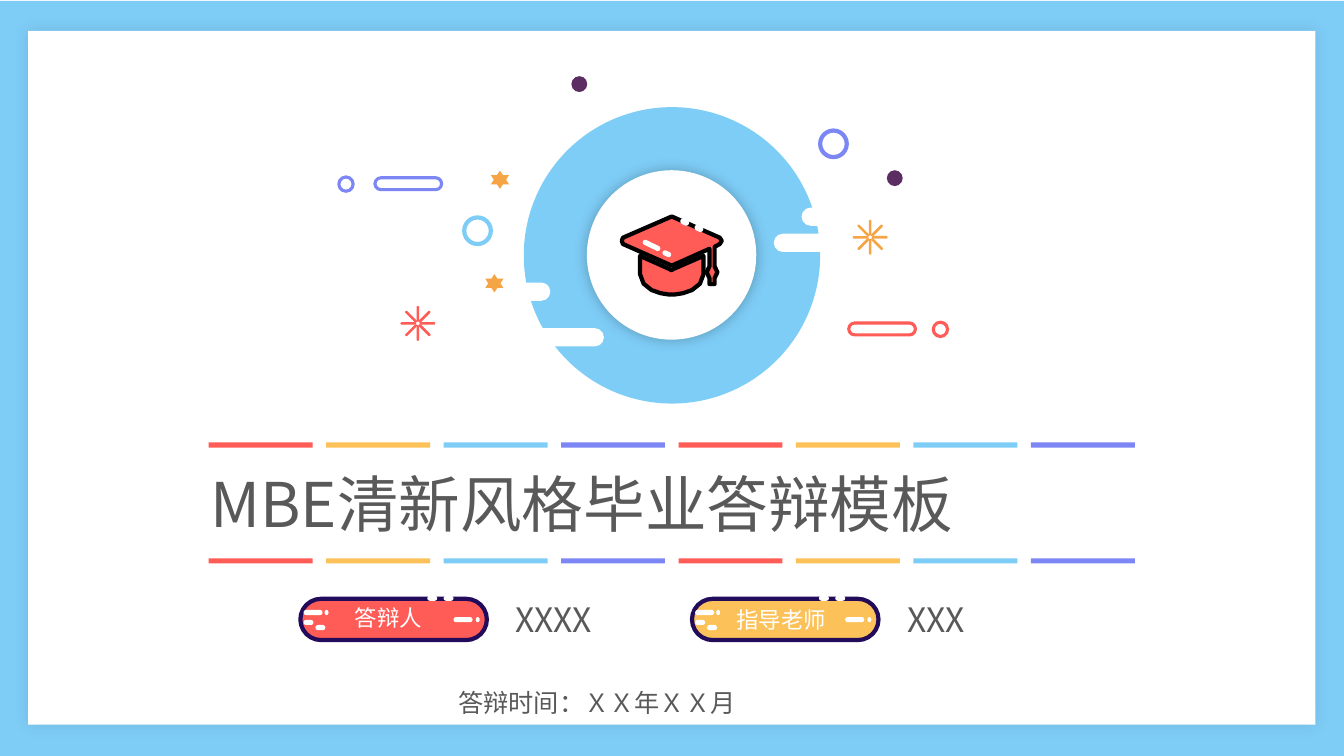
import math

from lxml import etree
from pptx import Presentation
from pptx.dml.color import RGBColor
from pptx.enum.shapes import MSO_SHAPE
from pptx.enum.text import MSO_AUTO_SIZE, PP_ALIGN
from pptx.oxml.ns import qn
from pptx.util import Cm, Pt

RECTANGLE = MSO_SHAPE.RECTANGLE
ELLIPSE = MSO_SHAPE.OVAL
PILL = MSO_SHAPE.ROUNDED_RECTANGLE
STAR = MSO_SHAPE.STAR_6_POINT
LEFT, JUSTIFY = PP_ALIGN.LEFT, PP_ALIGN.JUSTIFY

FONT = "Noto Sans CJK SC"
WHITE, BLACK, GREY = "FFFFFF", "000000", "595959"
SKY, RED, YELLOW, VIOLET = "7ECDF7", "FF5B57", "FCC259", "7C87F5"
ORANGE, PLUM, NAVY = "F6A546", "5C2D62", "230B5B"

# Outlines in hundredths of a centimetre
CAP_BOARD = [
    (1814, 599), (1694, 546), (1692, 546), (1570, 599), (1567, 607), (1570, 615),
    (1692, 669), (1694, 669), (1788, 627), (1788, 671), (1781, 686), (1788, 701),
    (1788, 716), (1801, 716), (1801, 701), (1808, 686), (1801, 671), (1801, 622),
    (1814, 615), (1819, 607),
]
CAP_BASE = [
    (1692, 681), (1687, 678), (1613, 645), (1613, 691), (1622, 715), (1642, 731),
    (1665, 739), (1684, 742), (1702, 742), (1721, 739), (1744, 731), (1764, 715),
    (1773, 691), (1773, 645), (1697, 678),
]
# Highlights of a badge, measured from its top left corner
BADGE_HIGHLIGHTS = [
    (PILL, 3.61, -0.08, 0.25), (PILL, 3.2, -0.08, 0.25), (PILL, 3.86, 0.46, 0.48),
    (ELLIPSE, 4.42, 0.46, 0.1), (PILL, 0.08, 0.28, 0.48), (ELLIPSE, 0.61, 0.28, 0.1),
    (PILL, 0.08, 0.53, 0.25), (PILL, 0.38, 0.66, 0.25),
]


def rgb(value):
    return RGBColor.from_string(value)


class Cover:
    def __init__(self, slide, font):
        self.slide = slide
        self.font = font

    def paint(self, shape, fill, line, weight):
        shape.shadow.inherit = False
        if fill:
            shape.fill.solid()
            shape.fill.fore_color.rgb = rgb(fill)
        else:
            shape.fill.background()
        if line:
            shape.line.color.rgb = rgb(line)
            shape.line.width = Pt(weight)
        else:
            shape.line.fill.background()

    def shape(self, kind, left, top, width, height, fill=None, line=None, weight=3, rotation=0):
        shape = self.slide.shapes.add_shape(kind, Cm(left), Cm(top), Cm(width), Cm(height))
        if kind == PILL:
            shape.adjustments[0] = 0.5
        shape.rotation = rotation
        self.paint(shape, fill, line, weight)
        return shape

    def glow(self, shape, opacity):
        """Surround the shape with a soft, centred black shadow."""
        effects = shape._element.spPr.find(qn("a:effectLst"))
        shadow = etree.SubElement(effects, qn("a:outerShdw"), blurRad=str(Pt(10)),
                                  dist="0", algn="ctr", rotWithShape="0")
        color = etree.SubElement(shadow, qn("a:srgbClr"), val=BLACK)
        etree.SubElement(color, qn("a:alpha"), val=str(opacity * 1000))

    def outline(self, contours, fill, line, weight):
        """Draw closed contours as one shape."""
        first, *others = contours
        builder = self.slide.shapes.build_freeform(*first[0], scale=Cm(0.01))
        builder.add_line_segments(first[1:], close=True)
        for contour in others:
            builder.move_to(*contour[0])
            builder.add_line_segments(contour[1:], close=True)
        self.paint(builder.convert_to_shape(), fill, line, weight)

    def text(self, words, left, top, width, height, size, color=GREY, align=JUSTIFY):
        box = self.slide.shapes.add_textbox(Cm(left), Cm(top), Cm(width), Cm(height))
        frame = box.text_frame
        frame.word_wrap = True
        frame.auto_size = MSO_AUTO_SIZE.SHAPE_TO_FIT_TEXT
        paragraph = frame.paragraphs[0]
        paragraph.alignment = align
        run = paragraph.add_run()
        run.text = words
        for name, value in {"name": self.font, "size": Pt(size)}.items():
            setattr(run.font, name, value)
        run.font.color.rgb = rgb(color)
        etree.SubElement(run._r.get_or_add_rPr(), qn("a:ea"), typeface=self.font)

    def burst(self, center_x, center_y, color):
        """Draw eight strokes around a centre."""
        width, length, radius = 0.03, 0.36, 0.24
        for angle in range(0, 360, 45):
            x = center_x + radius * math.sin(math.radians(angle))
            y = center_y - radius * math.cos(math.radians(angle))
            self.shape(PILL, x - width / 2, y - length / 2, width, length,
                       ORANGE, color, 1, angle)

    def dashes(self, top):
        for index, color in enumerate([RED, YELLOW, SKY, VIOLET] * 2):
            self.shape(RECTANGLE, 5.26 + 2.96 * index, top, 2.62, 0.13, color)

    def badge(self, left, color):
        top = 15.09
        self.shape(PILL, left, top, 4.7, 1.04, color, NAVY)
        for kind, x, y, width in BADGE_HIGHLIGHTS:
            self.shape(kind, left + x, top + y, width, 0.13, WHITE)


def main():
    presentation = Presentation()
    presentation.slide_width, presentation.slide_height = Cm(33.87), Cm(19.05)
    cover = Cover(presentation.slides.add_slide(presentation.slide_layouts[6]), FONT)

    cover.shape(RECTANGLE, 0, 0.02, 33.87, 19.03, SKY)
    cover.glow(cover.shape(RECTANGLE, 0.71, 0.78, 32.44, 17.48, WHITE), 10)

    # Emblem with graduation cap
    cover.shape(ELLIPSE, 13.2, 2.7, 7.47, 7.47, SKY)
    cover.glow(cover.shape(ELLIPSE, 14.79, 4.29, 4.27, 4.27, WHITE), 25)
    cover.outline([CAP_BOARD, CAP_BASE], RED, BLACK, 3)
    for left, top, width, height in [(17.14, 5.52, 0.23, 0.15), (17.5, 5.68, 0.23, 0.15),
                                     (16.18, 6.12, 0.48, 0.13), (16.69, 6.33, 0.23, 0.13)]:
        cover.shape(PILL, left, top, width, height, WHITE, rotation=25.9)
    for left, top in [(19.5, 5.89), (20.2, 5.23), (13.06, 8.27), (11.71, 7.12)]:
        cover.shape(PILL, left, top, 2.16, 0.46, WHITE)

    # Ornaments around the emblem
    for left, top, color in [(11.7, 5.48, SKY), (20.67, 3.29, VIOLET)]:
        cover.shape(ELLIPSE, left, top, 0.67, 0.67, line=color)
    for left, top in [(12.37, 4.3), (12.23, 6.91)]:
        cover.shape(STAR, left, top, 0.46, 0.46, ORANGE)
    for pill_left, ring_left, top, color in [(21.39, 23.52, 8.14, RED),
                                             (9.45, 8.54, 4.48, VIOLET)]:
        cover.shape(PILL, pill_left, top, 1.68, 0.3, WHITE, color, 2.25)
        cover.shape(ELLIPSE, ring_left, top - 0.02, 0.36, 0.36, None, color, 2.25)
    for left, top in [(22.35, 4.29), (14.4, 1.92)]:
        cover.shape(ELLIPSE, left, top, 0.4, 0.4, PLUM)
    cover.burst(10.53, 8.15, RED)
    cover.burst(21.93, 5.98, ORANGE)

    cover.text("MBE清新风格毕业答辩模板", 5.05, 11.61, 23.77, 2.13, 44)
    for top in (11.15, 14.07):
        cover.dashes(top)

    cover.badge(7.57, RED)
    cover.text("答辩人", 8.69, 15.11, 2.34, 0.94, 16, WHITE)
    cover.text("XXXX", 12.73, 14.96, 3.43, 1.27, 24)
    cover.badge(17.44, YELLOW)
    cover.text("指导老师", 18.31, 15.16, 2.82, 0.94, 16, WHITE)
    cover.text("XXX", 22.61, 14.96, 3.71, 1.27, 24)
    cover.text("答辩时间：ＸＸ年ＸＸ月", 11.3, 17.2, 12.07, 1.02, 18, align=LEFT)

    presentation.save("out.pptx")


if __name__ == "__main__":
    main()
